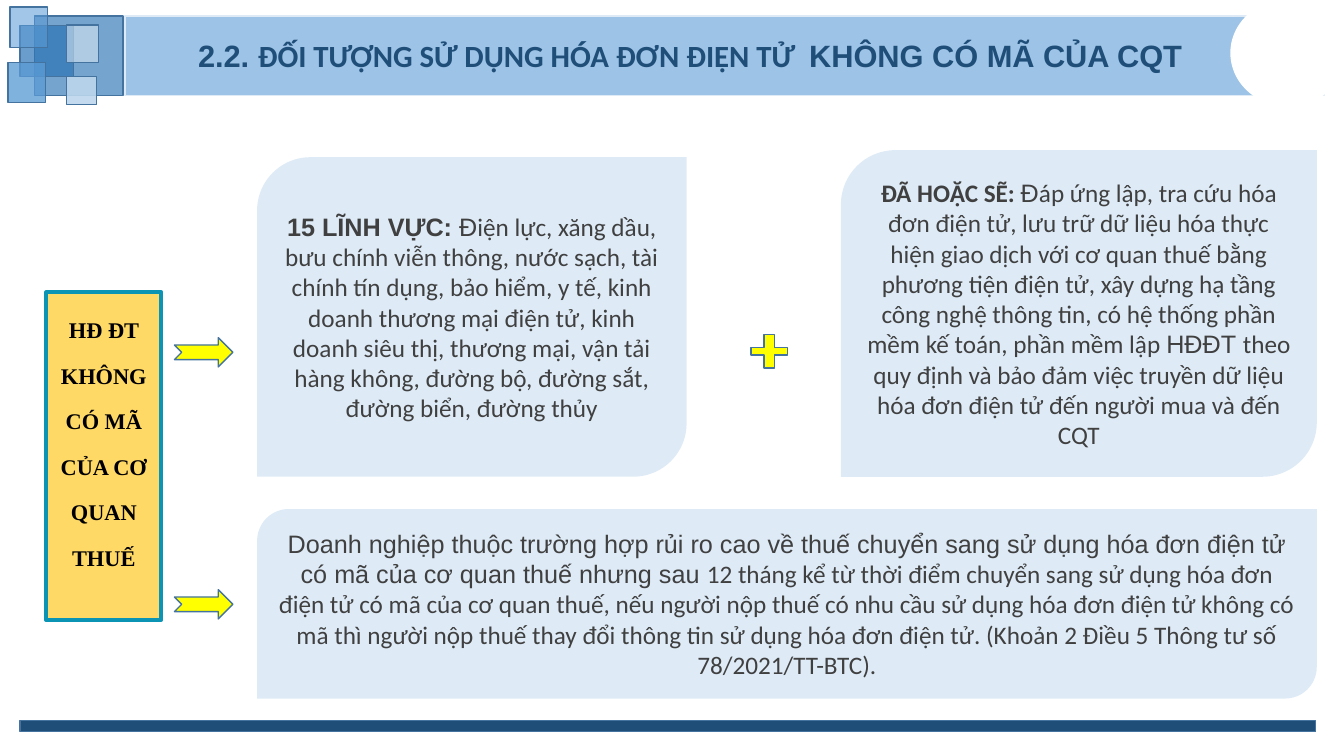
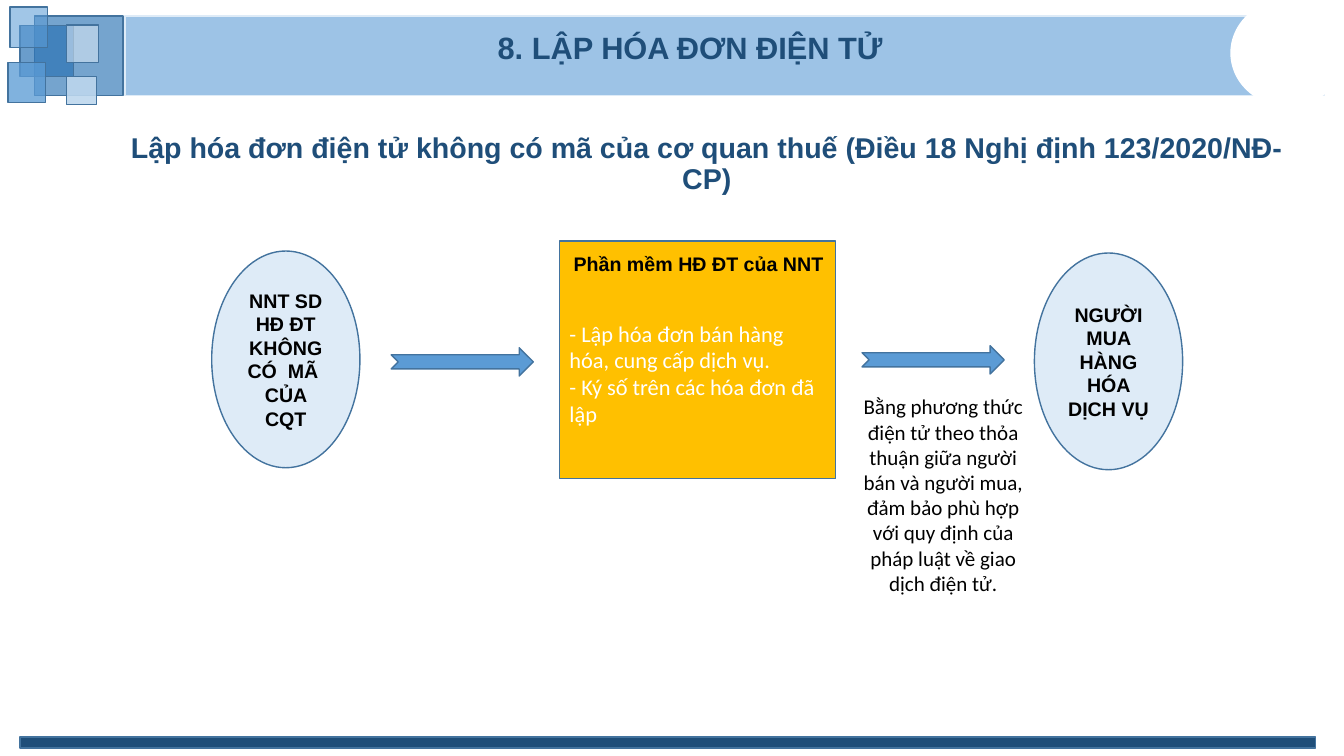
from lxml import etree
from pptx import Presentation
from pptx.dml.color import RGBColor
from pptx.enum.shapes import MSO_SHAPE
from pptx.enum.text import MSO_ANCHOR, PP_ALIGN
from pptx.oxml.ns import qn
from pptx.util import Inches, Pt

RECT, OVAL, PLUS = MSO_SHAPE.RECTANGLE, MSO_SHAPE.OVAL, MSO_SHAPE.CROSS
CARD, ARROW = MSO_SHAPE.ROUND_2_DIAG_RECTANGLE, MSO_SHAPE.NOTCHED_RIGHT_ARROW
TOP, MIDDLE = MSO_ANCHOR.TOP, MSO_ANCHOR.MIDDLE
LEFT, CENTER = PP_ALIGN.LEFT, PP_ALIGN.CENTER

# Shared look
WIDTH, HEIGHT = 13.33, 7.5
NAVY, OUTLINE, PALE, BLUE = "1F4E79", "43739E", "DEEBF7", "5B9BD5"
BAND, GREY, BLACK, WHITE = "9DC3E6", "404040", "000000", "FFFFFF"
YELLOW, SAND, TEAL, AMBER = "FFFF00", "FFD966", "0C94B4", "FFC000"
SANS, BODY, SERIF = "Arial", "Calibri", "Times New Roman"
BAND_TOP, BAND_HEIGHT = 0.16, 0.79
EDGE = 13.06  # right margin of the content

# Header squares: left, top, width, height, colour, opacity %
SQUARES = [
    (0.34, BAND_TOP, 0.88, BAND_HEIGHT, "2E75B6", 66),
    (0.2, 0.25, 0.53, 0.51, "2E75B6", 71),
    (0.1, 0.07, 0.37, 0.4, BLUE, 57),
    (0.08, 0.62, 0.37, 0.4, BLUE, 77),
    (0.66, 0.76, 0.3, 0.28, "BDD7EE", 89),
    (0.66, 0.25, 0.32, 0.37, PALE, 56),
]

# Slide 1 content; a run is (text, font, bold)
CODELESS_TITLE = [
    ("2.2. ", SANS, True),
    ("ĐỐI TƯỢNG SỬ DỤNG HÓA ĐƠN ĐIỆN TỬ  ", BODY, True),
    ("KHÔNG CÓ MÃ CỦA CQT", SANS, True),
]
SUBJECT = [("HĐ ĐT KHÔNG CÓ MÃ CỦA CƠ QUAN THUẾ", SERIF, True)]
SECTORS = [
    ("15 LĨNH VỰC: ", SANS, True),
    ("Đ", SANS, False),
    ("iện lực, xăng dầu, bưu chính viễn thông, nước sạch, tài chính tín dụng, "
     "bảo hiểm, y tế, kinh doanh thương mại điện tử, kinh doanh siêu thị, "
     "thương mại, vận tải hàng không, đường bộ, đường sắt, đường biển, "
     "đường thủy", BODY, False),
]
CONDITIONS = [
    ("ĐÃ HOẶC SẼ: ", BODY, True),
    ("Đ", SANS, False),
    ("áp ứng lập, tra cứu hóa đơn điện tử, lưu trữ dữ liệu hóa thực hiện giao "
     "dịch với cơ quan thuế bằng phương tiện điện tử, xây dựng hạ tầng công "
     "nghệ thông tin, có hệ thống phần mềm kế toán, phần mềm lập ", BODY, False),
    ("HĐĐT ", SANS, False),
    ("theo quy định và bảo đảm việc truyền dữ liệu hóa đơn điện tử đến người "
     "mua và đến CQT", BODY, False),
]
HIGH_RISK = [
    ("Doanh nghiệp thuộc trường hợp rủi ro cao về thuế chuyển sang sử dụng hóa "
     "đơn điện tử có mã của cơ quan thuế nhưng sau ", SANS, False),
    ("12 tháng kể từ thời điểm chuyển sang sử dụng hóa đơn điện tử có mã của cơ "
     "quan thuế, nếu người nộp thuế có nhu cầu sử dụng hóa đơn điện tử không có "
     "mã thì người nộp thuế thay đổi thông tin sử dụng hóa đơn điện tử. (Khoản 2 "
     "Điều 5 Thông tư số 78/2021/TT-BTC).", BODY, False),
]
CARD_LEFT, CARD_BOTTOM = 2.55, 4.73
CARDS = [  # left, top, right, bottom, runs
    (CARD_LEFT, 1.56, 6.81, CARD_BOTTOM, SECTORS),
    (8.34, 1.49, EDGE, CARD_BOTTOM, CONDITIONS),
    (CARD_LEFT, 5.05, EDGE, 6.93, HIGH_RISK),
]
CARD_ARROW_TOPS = [3.35, 5.85]

# Slide 2 content
ISSUING_TITLE = [("8. LẬP HÓA ĐƠN ĐIỆN TỬ", SANS, True)]
SUBTITLE = [("Lập hóa đơn điện tử không có mã của cơ quan thuế "
             "(Điều 18 Nghị định 123/2020/NĐ-CP)", SANS, True)]
PARTIES = [  # left, top, runs
    (2.1, 2.49, [("NNT SD HĐ ĐT KHÔNG CÓ  MÃ  CỦA CQT", SANS, True)]),
    (10.26, 2.51, [("NGƯỜI MUA HÀNG HÓA DỊCH VỤ", SANS, True)]),
]
SOFTWARE = [("Phần mềm HĐ ĐT của NNT", SANS, True)]
SOFTWARE_STEPS = [
    [("- Lập hóa đơn bán hàng hóa, cung cấp dịch vụ.", BODY, False)],
    [("- Ký số trên các hóa đơn đã lập", BODY, False)],
]
DELIVERY = [("Bằng phương thức điện tử theo thỏa thuận giữa người bán và người "
             "mua, đảm bảo phù hợp với quy định của pháp luật về giao dịch điện "
             "tử.", BODY, False)]
FLOW_ARROWS = [(3.88, 3.45), (8.55, 3.43)]


def rgb(value):
    return RGBColor.from_string(value)


def add_part(slide, kind, box, fill, line=OUTLINE, weight=1, opacity=None):
    part = slide.shapes.add_shape(kind, *map(Inches, box))
    part.shadow.inherit = False
    part.fill.solid()
    part.fill.fore_color.rgb = rgb(fill)
    if opacity is not None:
        color = part.fill._xPr.find(qn("a:solidFill"))[0]
        etree.SubElement(color, qn("a:alpha")).set("val", str(opacity * 1000))
    if line:
        part.line.color.rgb = rgb(line)
        part.line.width = Pt(weight)
    else:
        part.line.fill.background()
    return part


def write(part, paragraphs, size, color, align=CENTER, anchor=MIDDLE,
          spacing=None, before=None):
    frame = part.text_frame
    frame.word_wrap = True
    frame.vertical_anchor = anchor
    for index, runs in enumerate(paragraphs):
        paragraph = frame.add_paragraph() if index else frame.paragraphs[0]
        paragraph.alignment = align
        if spacing:
            paragraph.line_spacing = spacing
        if before:
            paragraph.space_before = Pt(before)
        for text, font, bold in runs:
            run = paragraph.add_run()
            run.text = text
            run.font.name = font
            run.font.size = Pt(size)
            run.font.bold = bold
            run.font.color.rgb = rgb(color)


def add_label(slide, box, runs, size, color, **style):
    label = slide.shapes.add_textbox(*map(Inches, box))
    write(label, [runs], size, color, anchor=TOP, **style)


def add_framed_slide(deck, title, title_top, footer_top):
    slide = deck.slides.add_slide(deck.slide_layouts[6])
    # Band with a round bite at its right end
    add_part(slide, RECT, (1.24, BAND_TOP, 11.89, BAND_HEIGHT), BAND, PALE)
    add_part(slide, OVAL, (12.21, 0, 1.13, 1.05), WHITE, WHITE)
    for *box, color, opacity in SQUARES:
        add_part(slide, RECT, box, color, opacity=opacity)
    add_part(slide, RECT, (0.2, footer_top, 12.85, 0.11), NAVY)
    add_label(slide, (1.43, title_top, 10.83, 0.47), title, 22, NAVY)
    return slide


def build_codeless_users(deck):
    slide = add_framed_slide(deck, CODELESS_TITLE, 0.32, 7.15)
    # Requirement cards
    for left, top, right, bottom, runs in CARDS:
        card = add_part(slide, CARD, (left, top, right - left, bottom - top),
                        PALE, line=None)
        write(card, [runs], 18, GREY)
    plus = add_part(slide, PLUS, (7.45, 3.32, 0.36, 0.33), YELLOW)
    plus.adjustments[0] = 0.383
    for top in CARD_ARROW_TOPS:
        add_part(slide, ARROW, (1.73, top, 0.58, 0.29), YELLOW)
    # Subject the cards belong to
    subject = add_part(slide, RECT, (0.46, 2.9, 1.14, 3.25), SAND, TEAL, 3)
    write(subject, [SUBJECT], 16, BLACK, anchor=TOP, spacing=1.7, before=10)


def build_issuing(deck):
    slide = add_framed_slide(deck, ISSUING_TITLE, 0.24, 7.31)
    add_label(slide, (0.96, 1.28, 12.1, 0.55), SUBTITLE, 20.4, NAVY,
              spacing=0.9, before=10)
    # Seller and buyer
    for left, top, runs in PARTIES:
        party = add_part(slide, OVAL, (left, top, 1.47, 2.15), PALE)
        write(party, [runs], 14, BLACK)
    # Invoice software, its steps set below the heading
    software = add_part(slide, RECT, (5.55, 2.39, 2.74, 2.36), AMBER)
    software.text_frame.margin_top = Inches(0.32)
    write(software, SOFTWARE_STEPS, 16, WHITE, align=LEFT)
    add_label(slide, (5.56, 2.45, 2.74, 0.34), SOFTWARE, 14, BLACK)
    # Flow and way of delivery
    for left, top in FLOW_ARROWS:
        add_part(slide, ARROW, (left, top, 1.41, 0.28), BLUE)
    add_label(slide, (8.45, 3.86, 1.81, 2.37), DELIVERY, 15, BLACK)


def main():
    deck = Presentation()
    deck.slide_width, deck.slide_height = Inches(WIDTH), Inches(HEIGHT)
    build_codeless_users(deck)
    build_issuing(deck)
    deck.save("out.pptx")


if __name__ == "__main__":
    main()
